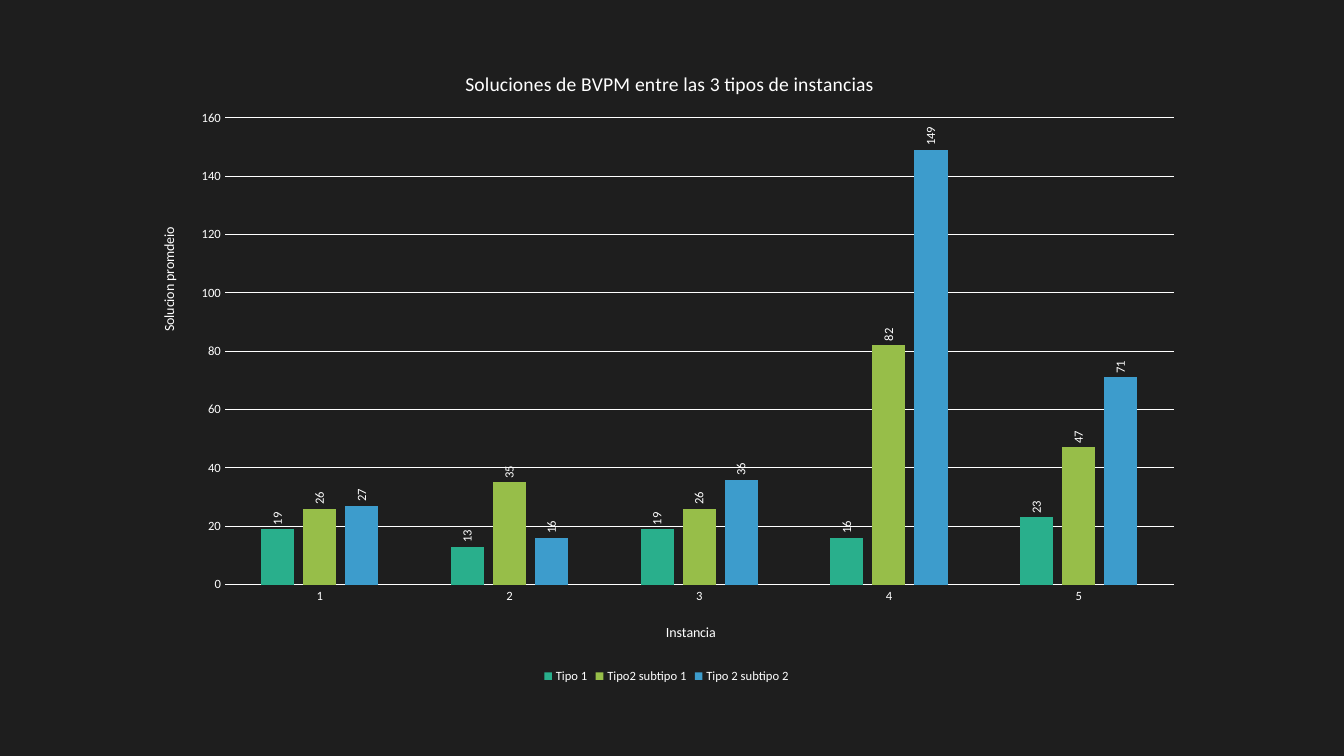
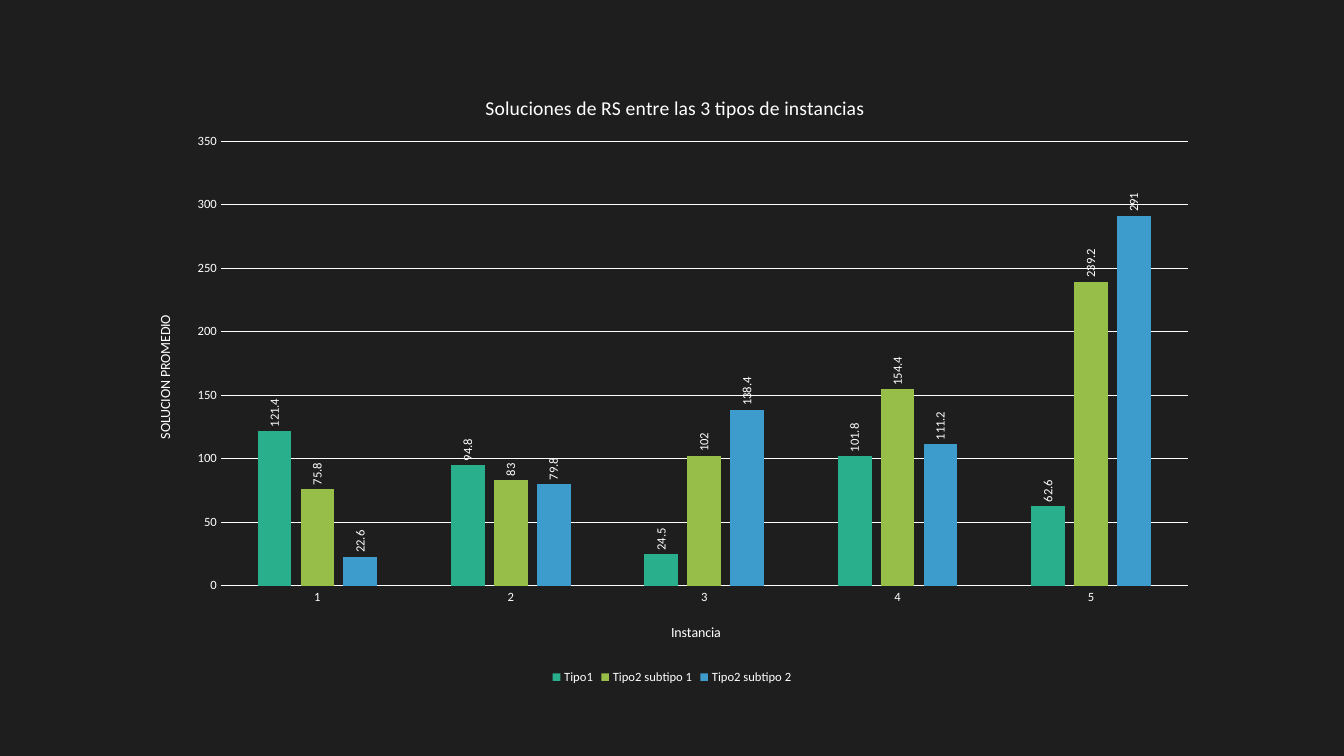
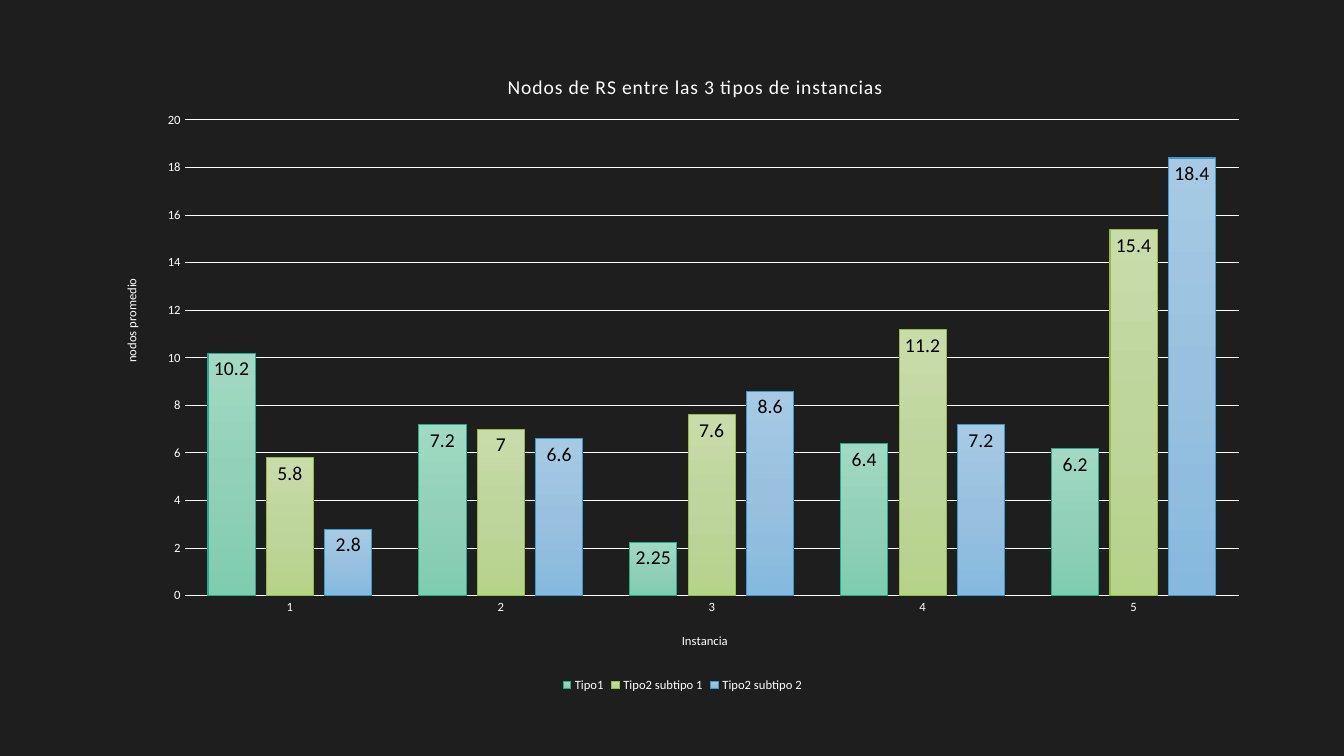
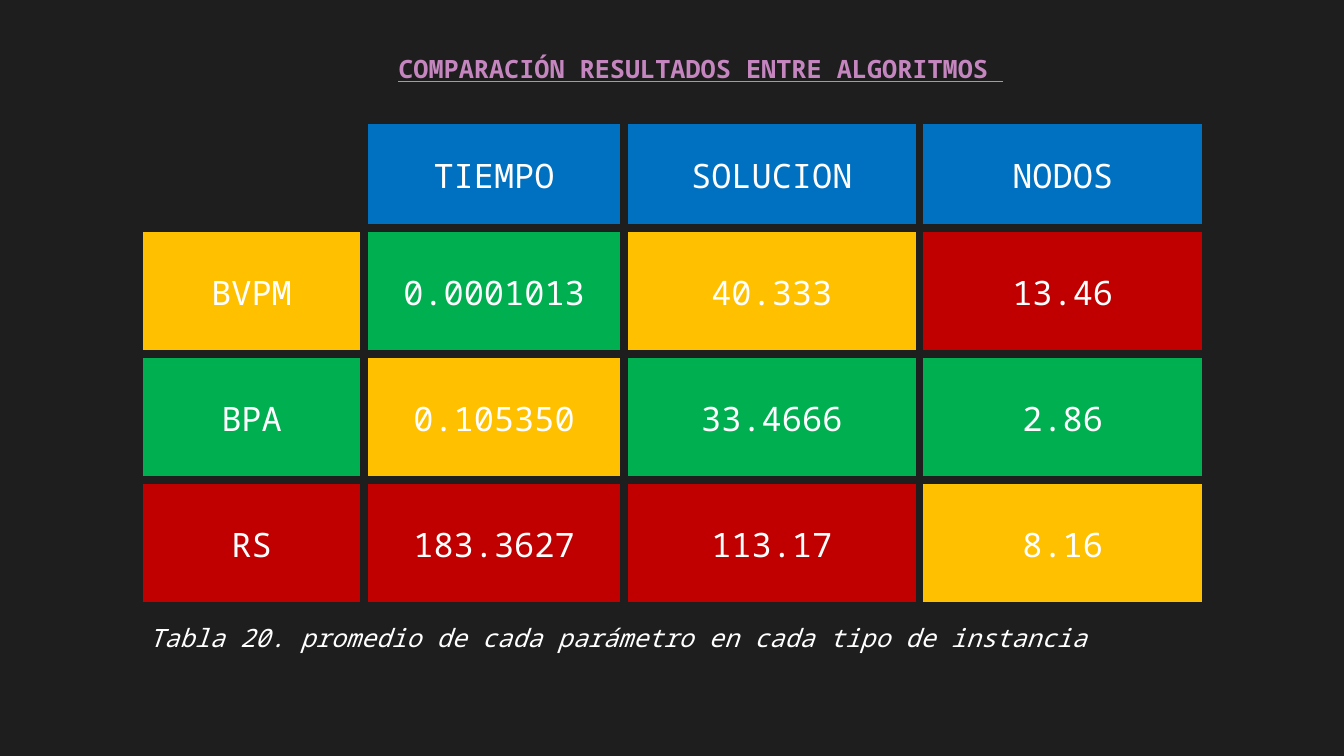
import copy

import pptx
import pptx.chart.data
import pptx.dml.color
import pptx.enum.chart
import pptx.enum.text
import pptx.oxml
import pptx.oxml.ns
import pptx.util

Inches = pptx.util.Inches
Pt = pptx.util.Pt
RGBColor = pptx.dml.color.RGBColor
Spot = pptx.enum.chart.XL_LABEL_POSITION
qn = pptx.oxml.ns.qn

DARK = RGBColor(0x1E, 0x1E, 0x1E)
WHITE = RGBColor(0xFF, 0xFF, 0xFF)
BLACK = RGBColor(0, 0, 0)
PINK = RGBColor(0xC5, 0x86, 0xC0)
BLUE = RGBColor(0x00, 0x70, 0xC0)
GOLD = RGBColor(0xFF, 0xC0, 0x00)
GREEN = RGBColor(0x00, 0xB0, 0x50)
RED = RGBColor(0xC0, 0x00, 0x00)
BARS = [RGBColor(0x29, 0xAF, 0x8C), RGBColor(0x97, 0xBE, 0x49), RGBColor(0x3D, 0x9C, 0xCC)]
EDGES = [RGBColor(0x28, 0xAB, 0x89), RGBColor(0x94, 0xBA, 0x47), RGBColor(0x3C, 0x99, 0xC8)]
FADES = [
    [RGBColor(0xA0, 0xDA, 0xC4), RGBColor(0x93, 0xD0, 0xB9), RGBColor(0x7E, 0xCD, 0xB1)],
    [RGBColor(0xC8, 0xDC, 0xA9), RGBColor(0xBE, 0xD5, 0x9C), RGBColor(0xB6, 0xD3, 0x8A)],
    [RGBColor(0xA6, 0xCA, 0xE4), RGBColor(0x99, 0xC1, 0xDF), RGBColor(0x85, 0xB9, 0xDE)],
]
SANS = "Calibri"
MONO = "Noto Sans Mono"


def assign(item, values):
    """Set each attribute of an object from a dict."""
    for name, value in values.items():
        setattr(item, name, value)


def style(font, size, color=WHITE, face=SANS, **more):
    """Format a font."""
    assign(font, {"name": face, "size": Pt(size), "bold": False, **more})
    font.color.rgb = color


def place(node, box, spot):
    """Pin a chart part at a slide position given in inches."""
    old = node.find(qn("c:layout"))
    if old is not None:
        node.remove(old)
    left, top, wide, high = box
    parts = [("x", (spot[0] - left) / wide), ("y", (spot[1] - top) / high)]
    inner = ""
    if len(spot) == 4:
        inner = '<c:layoutTarget val="inner"/>'
        parts += [("w", spot[2] / wide), ("h", spot[3] / high)]
    modes = "".join(f'<c:{key}Mode val="edge"/>' for key, _ in parts[:2])
    sizes = "".join(f'<c:{key} val="{part:.4f}"/>' for key, part in parts)
    layout = pptx.oxml.parse_xml(
        f'<c:layout {pptx.oxml.ns.nsdecls("c")}><c:manualLayout>'
        f"{inner}{modes}{sizes}</c:manualLayout></c:layout>")
    node.insert(0 if node.find(qn("c:tx")) is None else 1, layout)


def turn(body):
    """Make text read upward."""
    body.set("rot", "-5400000")
    body.set("vert", "horz")


def head(title, text, size, box, spot, space=0):
    """Write and place a chart or axis title."""
    frame = title.text_frame
    frame.text = text
    run = frame.paragraphs[0].runs[0]
    style(run.font, size)
    if space:
        run.font._element.set("spc", str(space))
    place(title._element, box, spot)
    return frame


def blend(fill, colors):
    """Fill with a top to bottom gradient of three colours."""
    fill.gradient()
    fill.gradient_angle = 270
    stops = fill._xPr.find(".//" + qn("a:gsLst"))
    stops.insert(1, copy.deepcopy(stops[0]))
    for step, (stop, color) in enumerate(zip(fill.gradient_stops, colors)):
        stop.position = step / 2
        stop.color.rgb = color


def paint(series, index, fade):
    """Colour one series and its labels."""
    labels = series.data_labels
    labels.show_value = True
    if fade:
        blend(series.format.fill, FADES[index])
        series.format.line.color.rgb = EDGES[index]
        series.format.line.width = Pt(0.75)
        labels.position = Spot.INSIDE_END
        style(labels.font, 14, BLACK)
    else:
        series.format.fill.solid()
        series.format.fill.fore_color.rgb = BARS[index]
        labels.position = Spot.OUTSIDE_END
        style(labels.font, 9)
        turn(labels._element.find(".//" + qn("a:bodyPr")))


def graph(slide, box, text, label, names, rows, scale, spots, fade=False):
    """Add a clustered column chart with its titles."""
    data = pptx.chart.data.CategoryChartData()
    data.categories = ["1", "2", "3", "4", "5"]
    for name, row in zip(names, rows):
        data.add_series(name, row)
    kind = pptx.enum.chart.XL_CHART_TYPE.COLUMN_CLUSTERED
    chart = slide.shapes.add_chart(kind, *map(Inches, box), data).chart
    style(chart.font, 10)
    chart.has_legend = True
    assign(chart.legend, {"include_in_layout": False,
                          "position": pptx.enum.chart.XL_LEGEND_POSITION.BOTTOM})
    style(chart.legend.font, 9)

    plot = chart.plots[0]
    assign(plot, {"gap_width": 100 if fade else 219, "overlap": -24 if fade else -27,
                  "vary_by_categories": False})
    for index, series in enumerate(plot.series):
        paint(series, index, fade)

    across, up = chart.category_axis, chart.value_axis
    for axis in (across, up):
        none = pptx.enum.chart.XL_TICK_MARK.NONE
        assign(axis, {"major_tick_mark": none, "minor_tick_mark": none})
        style(axis.tick_labels.font, 9)
    assign(up, {"minimum_scale": 0, "maximum_scale": scale[0], "major_unit": scale[1],
                "has_major_gridlines": True})
    for line in (across.format.line, up.major_gridlines.format.line):
        line.color.rgb = WHITE
        line.width = Pt(0.75)
    up.format.line.fill.background()

    size = 9 if fade else 10
    head(chart.chart_title, text, 14, box, spots["title"], 50 if fade else 0)
    head(across.axis_title, "Instancia", size, box, spots["across"])
    frame = head(up.axis_title, label, size, box, spots["up"])
    turn(frame._txBody.find(qn("a:bodyPr")))
    place(chart._chartSpace.find(".//" + qn("c:plotArea")), box, spots["plot"])


def write(frame, text, size, align, **look):
    """Put one styled paragraph in a text frame."""
    frame.text = text
    para = frame.paragraphs[0]
    assign(para, {"alignment": align, "line_spacing": 1.07, "space_after": Pt(8)})
    style(para.runs[0].font, size, face=MONO, **look)


def edge(cell):
    """Give a cell thick borders in the background colour."""
    props = cell._tc.get_or_add_tcPr()
    for index, side in enumerate("LRTB"):
        props.insert(index, pptx.oxml.parse_xml(
            f'<a:ln{side} {pptx.oxml.ns.nsdecls("a")} w="{Pt(6)}"><a:solidFill>'
            f'<a:srgbClr val="{DARK}"/></a:solidFill></a:ln{side}>'))


def grid(slide, rows, fills):
    """Add the coloured comparison table."""
    wides, highs = [2.23, 2.58, 2.93, 2.84], [1.07, 1.25, 1.25, 1.25]
    box = (1.38, 1.19, sum(wides), sum(highs))
    table = slide.shapes.add_table(len(rows), len(wides), *map(Inches, box)).table
    assign(table, {"first_row": False, "horz_banding": False})
    for col, wide in zip(table.columns, wides):
        col.width = Inches(wide)
    for row, high in zip(table.rows, highs):
        row.height = Inches(high)
    for y, (row, tints) in enumerate(zip(rows, fills)):
        for x, (text, tint) in enumerate(zip(row, tints)):
            cell = table.cell(y, x)
            assign(cell, {"margin_left": Inches(0.07), "margin_right": Inches(0.07),
                          "margin_top": 0, "margin_bottom": 0,
                          "vertical_anchor": pptx.enum.text.MSO_ANCHOR.MIDDLE})
            if tint is None:
                cell.fill.background()
            else:
                cell.fill.solid()
                cell.fill.fore_color.rgb = tint
                write(cell.text_frame, text, 24, pptx.enum.text.PP_ALIGN.CENTER)
            edge(cell)


def note(shape, box, text, **look):
    """Place a shape and write a left-aligned line in it."""
    assign(shape, dict(zip(("left", "top", "width", "height"), map(Inches, box))))
    assign(shape.text_frame, {"word_wrap": True,
                              "auto_size": pptx.enum.text.MSO_AUTO_SIZE.NONE,
                              "vertical_anchor": pptx.enum.text.MSO_ANCHOR.TOP})
    write(shape.text_frame, text, 18, pptx.enum.text.PP_ALIGN.LEFT, **look)


def main():
    """Build the deck."""
    deck = pptx.Presentation()
    assign(deck, {"slide_width": Inches(13.33), "slide_height": Inches(7.5)})
    back = deck.slide_master.background.fill
    back.solid()
    back.fore_color.rgb = DARK
    plain, titled = deck.slide_layouts[6], deck.slide_layouts[5]
    names = ["Tipo1", "Tipo2 subtipo 1", "Tipo2 subtipo 2"]

    graph(deck.slides.add_slide(plain), (1.37, 0.43, 10.48, 6.39),
          "Soluciones de BVPM entre las 3 tipos de instancias", "Solucion promdeio",
          ["Tipo 1", "Tipo2 subtipo 1", "Tipo 2 subtipo 2"],
          [[19, 13, 19, 16, 23], [26, 35, 26, 82, 47], [27, 16, 36, 149, 71]],
          (160, 20),
          {"title": (4.58, 0.66), "across": (6.58, 6.16), "up": (1.56, 2.23),
           "plot": (2.23, 1.17, 9.41, 4.63)})
    graph(deck.slides.add_slide(plain), (1.33, 0.68, 10.67, 6.15),
          "Soluciones de RS entre las 3 tipos de instancias", "SOLUCION PROMEDIO", names,
          [[121.4, 94.8, 24.5, 101.8, 62.6], [75.8, 83, 102, 154.4, 239.2],
           [22.6, 79.8, 138.4, 111.2, 291]],
          (350, 50),
          {"title": (4.78, 0.9), "across": (6.63, 6.16), "up": (1.52, 3.1),
           "plot": (2.19, 1.4, 9.59, 4.41)})
    graph(deck.slides.add_slide(plain), (1.03, 0.45, 11.48, 6.46),
          "Nodos de RS entre las 3 tipos de instancias", "nodos promedio", names,
          [[10.2, 7.2, 2.25, 6.4, 6.2], [5.8, 7, 7.6, 11.2, 15.4],
           [2.8, 6.6, 8.6, 7.2, 18.4]],
          (20, 2),
          {"title": (5, 0.69), "across": (6.74, 6.25), "up": (1.2, 2.74),
           "plot": (1.83, 1.19, 10.46, 4.72)}, fade=True)

    slide = deck.slides.add_slide(titled)
    note(slide.shapes.title, (3.85, 0.46, 6.66, 0.41),
         "COMPARACIÓN RESULTADOS ENTRE ALGORITMOS ", color=PINK, bold=True, underline=True)
    grid(slide,
         [["", "TIEMPO", "SOLUCION", "NODOS"],
          ["BVPM", "0.0001013", "40.333", "13.46"],
          ["BPA", "0.105350", "33.4666", "2.86"],
          ["RS", "183.3627", "113.17", "8.16"]],
         [[None, BLUE, BLUE, BLUE],
          [GOLD, GREEN, GOLD, RED],
          [GREEN, GOLD, GREEN, GREEN],
          [RED, RED, RED, GOLD]])
    box = (1.38, 6.1, 10.58, 0.41)
    note(slide.shapes.add_textbox(*map(Inches, box)), box,
         "Tabla 20. promedio de cada parámetro en cada tipo de instancia", italic=True)
    deck.save("out.pptx")


if __name__ == "__main__":
    main()
